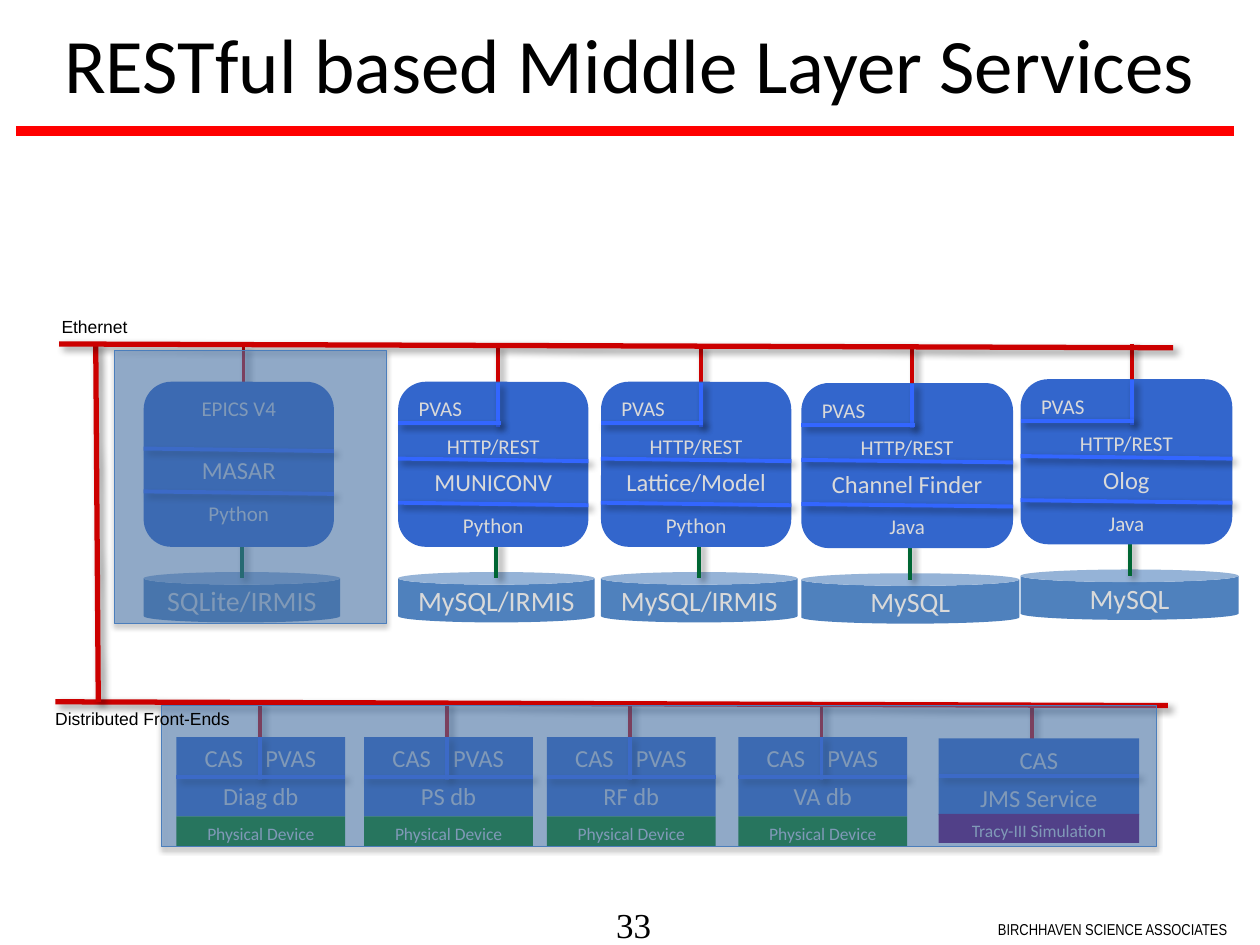
from pptx import Presentation
from pptx.dml.color import RGBColor
from pptx.enum.shapes import MSO_CONNECTOR, MSO_SHAPE
from pptx.enum.text import MSO_ANCHOR, PP_ALIGN
from pptx.oxml.ns import qn
from pptx.util import Inches, Pt
from lxml import etree

STRAIGHT = MSO_CONNECTOR.STRAIGHT
RECT, ROUNDED, CAN = MSO_SHAPE.RECTANGLE, MSO_SHAPE.ROUNDED_RECTANGLE, MSO_SHAPE.CAN
LEFT, CENTER = PP_ALIGN.LEFT, PP_ALIGN.CENTER
TOP, MIDDLE = MSO_ANCHOR.TOP, MSO_ANCHOR.MIDDLE

RED, GREEN, DIVIDER = "CC0000", "006633", "3366FF"
BOX, STORE, PALE, BLACK = "3366CC", "4F81BD", "D9D9D9", "000000"
LINE_SHADOW = (43, 4, 3, 45)
VEIL_SHADOW = (35, 3.1, 1.8, 90)


def rgb(color):
    """Turn a hex string into a colour."""
    return RGBColor.from_string(color)


def set_effects(element, shadow=None):
    """Give the element an effect list, empty or with an outer shadow."""
    properties = element.spPr
    effects = properties.find(qn("a:effectLst"))
    if effects is None:
        effects = etree.SubElement(properties, qn("a:effectLst"))
    if shadow:
        opacity, blur, distance, angle = shadow
        outer = etree.SubElement(
            effects, qn("a:outerShdw"), blurRad=str(Pt(blur)), dist=str(Pt(distance)),
            dir=str(angle * 60000), rotWithShape="0")
        tint = etree.SubElement(outer, qn("a:srgbClr"), val=BLACK)
        etree.SubElement(tint, qn("a:alpha"), val=str(opacity * 1000))


def add_line(slide, start, end, color, width=2.25, shadow=LINE_SHADOW):
    """Draw a straight line between two points."""
    line = slide.shapes.add_connector(STRAIGHT, *map(Inches, (*start, *end)))
    line.line.color.rgb = rgb(color)
    line.line.width = Pt(width)
    set_effects(line._element, shadow)


def write(paragraph, text, size, color=PALE, align=CENTER, gap=0, font="Calibri", tabs=()):
    """Fill one paragraph and format it."""
    paragraph.add_run().text = text
    paragraph.alignment = align
    if gap:
        paragraph.space_before = Pt(gap)
    if tabs:
        stops = etree.SubElement(paragraph._p.get_or_add_pPr(), qn("a:tabLst"))
        for position in tabs:
            etree.SubElement(stops, qn("a:tab"), pos=str(Inches(position)), algn="ctr")
    paragraph.font.size = Pt(size)
    paragraph.font.name = font
    paragraph.font.color.rgb = rgb(color)


def add_box(slide, kind, place, fill, rows=(), anchor=TOP):
    """Draw a filled shape with one paragraph for each row of settings."""
    box = slide.shapes.add_shape(kind, *map(Inches, place))
    box.shadow.inherit = False
    box.fill.solid()
    box.fill.fore_color.rgb = rgb(fill)
    box.line.fill.background()
    frame = box.text_frame
    frame.word_wrap = True
    frame.vertical_anchor = anchor
    for index, row in enumerate(rows):
        write(frame.add_paragraph() if index else frame.paragraphs[0], **row)
    return box


def add_veil(slide, place):
    """Lay a half transparent panel over a region."""
    veil = add_box(slide, RECT, place, STORE)
    tint = veil._element.spPr.find(".//" + qn("a:srgbClr"))
    etree.SubElement(tint, qn("a:alpha"), val="50000")
    veil.line.color.rgb = rgb("4B7EBC")
    veil.line.width = Pt(0.75)
    set_effects(veil._element, VEIL_SHADOW)


def add_label(slide, place, text, size, font, insets=(0.1, 0.05), wrap=False):
    """Place a small black label."""
    label = slide.shapes.add_textbox(*map(Inches, place))
    frame = label.text_frame
    frame.word_wrap = wrap
    frame.margin_left = frame.margin_right = Inches(insets[0])
    frame.margin_top = frame.margin_bottom = Inches(insets[1])
    write(frame.paragraphs[0], text, size, BLACK, LEFT, font=font)


def add_service(slide, left, top, width, name, language, store, rest=True):
    """Draw a service with its store below and its drop from the bus."""
    store_width = width + 0.05
    store_x, drop_x = left + store_width / 2, left + 0.525 * width
    add_box(slide, CAN, (left, top + 1.51, store_width, 0.4), STORE,
            [dict(text=store, size=16)], MIDDLE)
    add_line(slide, (store_x, top + 1.26), (store_x, top + 1.56), GREEN)
    add_line(slide, (drop_x, top - 0.28), (drop_x, top + 0.02), RED)
    if rest:
        interface = [dict(text="PVAS", size=12, align=LEFT),
                     dict(text="HTTP/REST", size=12, gap=7)]
        name_gap, dividers = 5, (0.61, 0.96)
    else:
        interface = [dict(text="EPICS V4", size=12)]
        name_gap, dividers = 19.5, (0.53, 0.87)
    add_box(slide, ROUNDED, (left, top, width, 1.31), BOX,
            interface + [dict(text=name, size=14, gap=name_gap),
                         dict(text=language, size=12, gap=9)])
    for offset in dividers:
        add_line(slide, (left, top + offset), (left + width, top + offset + 0.02), DIVIDER)
    if rest:
        add_line(slide, (drop_x, top + 0.01), (drop_x, top + 0.36), DIVIDER)
        add_line(slide, (left, top + 0.33), (drop_x + 0.02, top + 0.33), DIVIDER)


def add_front_end(slide, left, name):
    """Draw a front-end database on its physical device."""
    top, width, middle = 5.85, 1.34, left + 0.66
    add_line(slide, (middle, top - 0.28), (middle, top + 0.02), RED)
    add_box(slide, RECT, (left, top, width, 0.63), BOX,
            [dict(text="\tCAS\tPVAS", size=14, align=LEFT, tabs=(0.28, 0.81)),
             dict(text=name, size=14, gap=5)])
    add_line(slide, (middle, top), (middle, top + 0.34), DIVIDER)
    add_line(slide, (left, top + 0.32), (left + width, top + 0.32), DIVIDER)
    add_box(slide, RECT, (left, top + 0.63, width, 0.24), "008000",
            [dict(text="Physical Device", size=10)])


def add_simulation(slide):
    """Draw the simulated front-end."""
    left, width = 7.45, 1.59
    add_line(slide, (8.19, 5.6), (8.19, 5.9), RED)
    add_box(slide, RECT, (left, 5.86, width, 0.61), BOX,
            [dict(text="CAS", size=14), dict(text="JMS Service", size=14, gap=5)])
    add_line(slide, (left, 6.16), (left + width, 6.16), DIVIDER)
    add_box(slide, RECT, (left, 6.46, width, 0.23), "660066",
            [dict(text="Tracy-III Simulation", size=10)])


def add_title(slide, text):
    """Place the title and the rule below it."""
    title = slide.shapes.title
    title.left, title.top, title.width, title.height = map(Inches, (0, 0, 10, 0.99))
    title.text_frame.vertical_anchor = MIDDLE
    write(title.text_frame.paragraphs[0], text, 44, BLACK)
    add_line(slide, (0.13, 1.04), (9.79, 1.04), "FF0000", 6, None)


def main():
    """Build the slide and save it."""
    deck = Presentation()
    deck.slide_width, deck.slide_height = Inches(10), Inches(7.5)
    slide = deck.slides.add_slide(deck.slide_layouts[5])
    add_title(slide, "RESTful based Middle Layer Services")
    add_label(slide, (4.89, 7.17, 0.43, 0.33), "33", 20, "Times New Roman", (0, 0), True)
    add_label(slide, (7.92, 7.25, 1.92, 0.25), "BIRCHHAVEN SCIENCE ASSOCIATES", 9,
              "Arial Narrow", (0, 0.05))

    for left, name in ((1.4, "Diag db"), (2.89, "PS db"), (4.34, "RF db"), (5.86, "VA db")):
        add_front_end(slide, left, name)
    add_simulation(slide)
    add_line(slide, (0.44, 5.57), (9.27, 5.6), RED, 3)

    add_service(slide, 1.14, 3.03, 1.51, "MASAR", "Python", "SQLite/IRMIS", rest=False)
    for service in (
        (3.16, 3.03, 1.51, "MUNICONV", "Python", "MySQL/IRMIS"),
        (4.77, 3.03, 1.51, "Lattice/Model", "Python", "MySQL/IRMIS"),
        (6.36, 3.04, 1.68, "Channel Finder", "Java", "MySQL"),
        (8.1, 3.01, 1.68, "Olog", "Java", "MySQL"),
    ):
        add_service(slide, *service)

    add_line(slide, (0.76, 2.73), (0.78, 5.57), RED, 3)
    add_line(slide, (0.47, 2.73), (9.31, 2.76), RED, 3)
    add_veil(slide, (1.28, 5.6, 7.9, 1.12))
    add_veil(slide, (0.91, 2.78, 2.16, 2.17))
    add_label(slide, (0.39, 2.46, 0.74, 0.27), "Ethernet", 10, "Arial")
    add_label(slide, (0.34, 5.57, 1.6, 0.27), "Distributed Front-Ends", 10, "Arial")
    deck.save("out.pptx")


if __name__ == "__main__":
    main()
